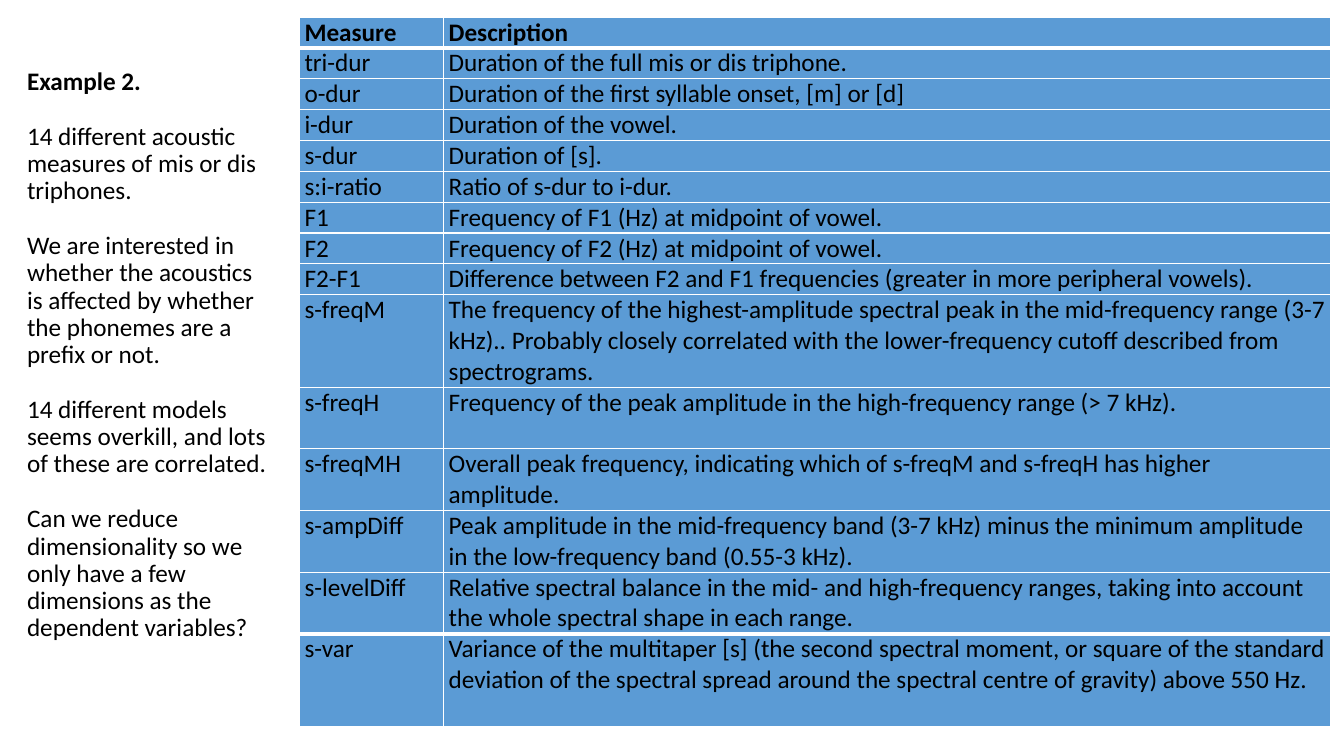
from lxml.etree import SubElement
from pptx import Presentation
from pptx.dml.color import RGBColor
from pptx.enum.text import MSO_ANCHOR, MSO_AUTO_SIZE
from pptx.oxml.ns import qn
from pptx.util import Inches, Pt

BLACK, WHITE, BLUE = "000000", "FFFFFF", "5B9BD5"

INTRO = [
    "Example 2.",
    "14 different acoustic measures of mis or dis triphones.",
    "We are interested in whether the acoustics is affected by whether "
    "the phonemes are a prefix or not.",
    "14 different models seems overkill, and lots of these are correlated.",
    "Can we reduce dimensionality so we only have a few dimensions as the "
    "dependent variables?",
]

# Measure, description, row height in text lines
MEASURES = [
    ("Measure", "Description", 1),
    ("tri-dur", "Duration of the full mis or dis triphone.", 1),
    ("o-dur", "Duration of the first syllable onset, [m] or [d]", 1),
    ("i-dur", "Duration of the vowel.", 1),
    ("s-dur", "Duration of [s].", 1),
    ("s:i-ratio", "Ratio of s-dur to i-dur.", 1),
    ("F1", "Frequency of F1 (Hz) at midpoint of vowel.", 1),
    ("F2", "Frequency of F2 (Hz) at midpoint of vowel.", 1),
    ("F2-F1", "Difference between F2 and F1 frequencies (greater in more "
     "peripheral vowels).", 1),
    ("s-freqM", "The frequency of the highest-amplitude spectral peak in the "
     "mid-frequency range (3-7 kHz).. Probably closely correlated with the "
     "lower-frequency cutoff described from spectrograms.", 3),
    ("s-freqH", "Frequency of the peak amplitude in the high-frequency range "
     "(> 7 kHz).", 2),
    ("s-freqMH", "Overall peak frequency, indicating which of s-freqM and "
     "s-freqH has higher amplitude.", 2),
    ("s-ampDiff", "Peak amplitude in the mid-frequency band (3-7 kHz) minus "
     "the minimum amplitude in the low-frequency band (0.55-3 kHz).", 2),
    ("s-levelDiff", "Relative spectral balance in the mid- and high-frequency "
     "ranges, taking into account the whole spectral shape in each range.", 2),
    ("s-var", "Variance of the multitaper [s] (the second spectral moment, or "
     "square of the standard deviation of the spectral spread around the "
     "spectral centre of gravity) above 550 Hz.", 3),
]


def color(value):
    return RGBColor.from_string(value)


def write(paragraph, text, size=18, bold=False, ink=BLACK, spacing=1.0, before=0):
    paragraph.line_spacing = spacing
    paragraph.space_before = Pt(before)
    run = paragraph.add_run()
    run.text = text
    run.font.name = "Calibri"
    run.font.size = Pt(size)
    run.font.bold = bold
    run.font.color.rgb = color(ink)


def add_borders(cell, top, bottom):
    properties = cell._tc.get_or_add_tcPr()
    for side, width in (("L", 1), ("R", 1), ("T", top), ("B", bottom)):
        line = SubElement(properties, qn(f"a:ln{side}"), w=str(Pt(width)))
        fill = SubElement(line, qn("a:solidFill"))
        SubElement(fill, qn("a:srgbClr"), val=WHITE)


def add_intro(slide, left, top, width, height):
    intro = slide.shapes.add_textbox(
        Inches(left), Inches(top), Inches(width), Inches(height))
    frame = intro.text_frame
    frame.word_wrap = True
    frame.auto_size = MSO_AUTO_SIZE.NONE
    frame.vertical_anchor = MSO_ANCHOR.MIDDLE
    for index, text in enumerate(INTRO):
        paragraph = frame.add_paragraph() if index else frame.paragraphs[0]
        write(paragraph, text, bold=index == 0, spacing=0.9,
              before=19.8 if index else 0)


def add_measures(slide, left, top, width, height):
    measures = slide.shapes.add_table(
        len(MEASURES), 2, Inches(left), Inches(top),
        Inches(width), Inches(height)).table
    measures.horz_banding = False
    name_width = 1.43
    measures.columns[0].width = Inches(name_width)
    measures.columns[1].width = Inches(width - name_width)
    line_height = height / sum(lines for _, _, lines in MEASURES)
    last = len(MEASURES) - 1

    for index, (name, description, lines) in enumerate(MEASURES):
        measures.rows[index].height = Inches(line_height * lines)
        header = index == 0
        for column, text in enumerate((name, description)):
            cell = measures.cell(index, column)
            cell.margin_left = cell.margin_right = Inches(0.05)
            cell.margin_top = cell.margin_bottom = 0
            cell.vertical_anchor = MSO_ANCHOR.BOTTOM if header else MSO_ANCHOR.TOP
            # Thick rules under the header and above the last row
            add_borders(cell, top=3 if index in (1, last) else 1,
                        bottom=3 if index in (0, last - 1) else 1)
            cell.fill.solid()
            cell.fill.fore_color.rgb = color(BLUE)
            write(cell.text_frame.paragraphs[0], text, bold=header)


def main():
    deck = Presentation()
    deck.slide_width, deck.slide_height = Inches(13.33), Inches(7.5)
    slide = deck.slides.add_slide(deck.slide_layouts[6])
    add_intro(slide, 0.17, 2.8, 2.64, 1.45)
    add_measures(slide, 2.97, 0.17, 10.23, 7.04)
    deck.save("out.pptx")


if __name__ == "__main__":
    main()
